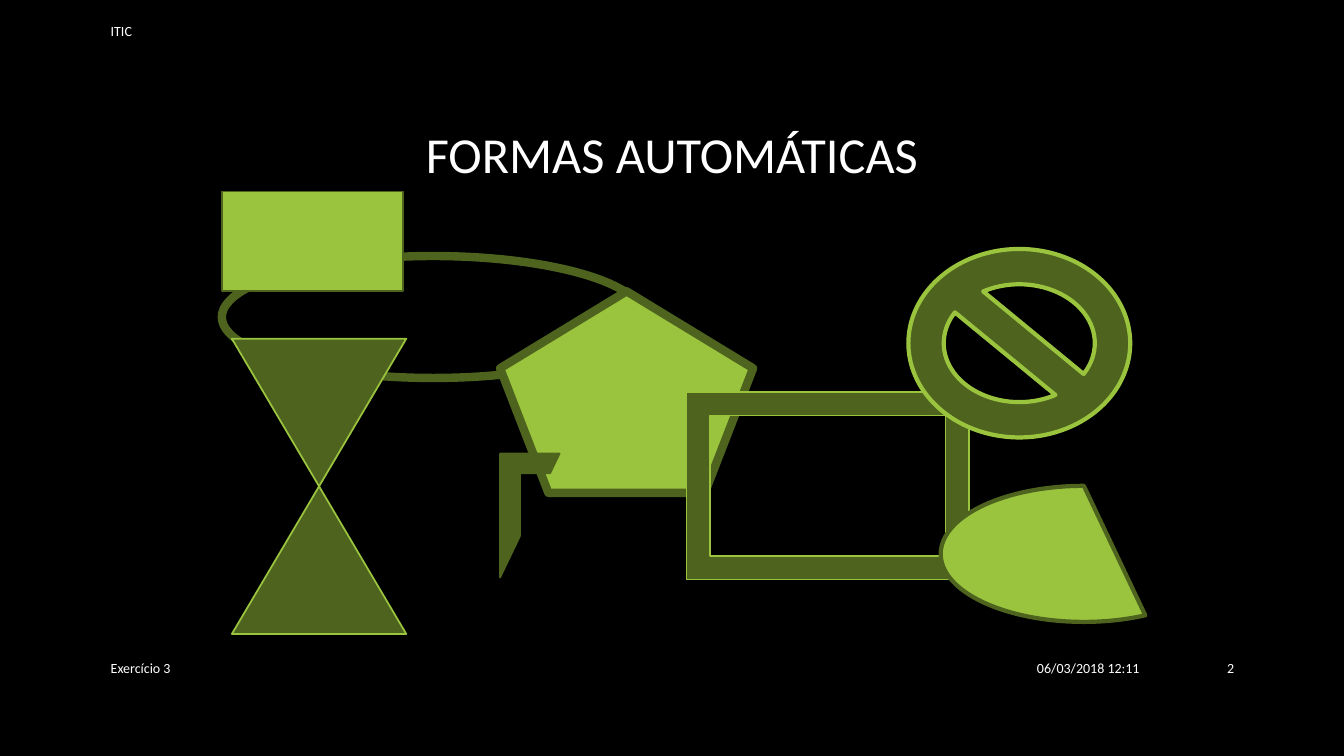
from dataclasses import dataclass

import pptx
import pptx.dml.color
import pptx.enum.shapes
import pptx.enum.text
import pptx.shapes.shapetree
import pptx.slide
import pptx.text.text
import pptx.util

Inches = pptx.util.Inches
Pt = pptx.util.Pt
RGBColor = pptx.dml.color.RGBColor
Preset = pptx.enum.shapes.MSO_SHAPE
Align = pptx.enum.text.PP_ALIGN
Anchor = pptx.enum.text.MSO_ANCHOR

BLACK = RGBColor(0x00, 0x00, 0x00)
WHITE = RGBColor(0xFF, 0xFF, 0xFF)
LIME = RGBColor(0x9A, 0xC4, 0x3E)
MOSS = RGBColor(0x4D, 0x63, 0x1E)
FONT = "Calibri"


@dataclass(frozen=True)
class Figure:
    preset: Preset
    left: float
    top: float
    width: float
    height: float
    fill: RGBColor | None
    line: RGBColor
    weight: float


@dataclass(frozen=True)
class Label:
    text: str
    left: float
    top: float
    width: float
    align: Align


FIGURES = [
    Figure(Preset.OVAL, 2.2, 2.54, 4.19, 1.21, None, MOSS, 6),
    Figure(Preset.REGULAR_PENTAGON, 4.96, 2.89, 2.51, 2, LIME, MOSS, 6),
    Figure(Preset.FRAME, 6.81, 3.89, 2.8, 1.86, MOSS, LIME, 1.25),
    Figure(Preset.HALF_FRAME, 4.96, 4.5, 0.59, 1.23, MOSS, MOSS, 1.25),
    Figure(Preset.CHORD, 9.33, 4.82, 2.84, 1.35, LIME, MOSS, 3),
    Figure(Preset.FLOWCHART_COLLATE, 2.3, 3.36, 1.73, 2.93, MOSS, LIME, 1.25),
    Figure(Preset.NO_SYMBOL, 9.01, 2.47, 2.2, 1.87, MOSS, LIME, 3),
    Figure(Preset.RECTANGLE, 2.2, 1.9, 1.8, 0.99, LIME, MOSS, 1.25),
]

LABEL_HEIGHT = 0.4
FOOTER_TOP = 6.43
LABELS = [
    Label("Exercício 3", 1, FOOTER_TOP, 7.3, Align.LEFT),
    Label("06/03/2018 12:11", 8.4, FOOTER_TOP, 3, Align.RIGHT),
    Label("2", 11.5, FOOTER_TOP, 0.84, Align.RIGHT),
    Label("ITIC", 1, 0.11, 7.3, Align.LEFT),
]


def write(frame: pptx.text.text.TextFrame, text: str, size: float, align: Align) -> None:
    frame.text = text
    frame.word_wrap = True
    frame.vertical_anchor = Anchor.MIDDLE
    paragraph = frame.paragraphs[0]
    paragraph.alignment = align
    font = paragraph.runs[0].font
    font.name = FONT
    font.size = Pt(size)
    font.color.rgb = WHITE


def draw_title(slide: pptx.slide.Slide) -> None:
    title = slide.shapes.title
    title.left, title.top = Inches(1), Inches(0.68)
    title.width, title.height = Inches(11.33), Inches(1.75)
    write(title.text_frame, "FORMAS AUTOMÁTICAS", 36, Align.CENTER)
    title.text_frame.paragraphs[0].line_spacing = 0.9


def draw_figure(shapes: pptx.shapes.shapetree.GroupShapes, figure: Figure) -> None:
    drawn = shapes.add_shape(
        figure.preset,
        Inches(figure.left),
        Inches(figure.top),
        Inches(figure.width),
        Inches(figure.height),
    )
    drawn.shadow.inherit = False
    if figure.fill is None:
        drawn.fill.background()
    else:
        drawn.fill.solid()
        drawn.fill.fore_color.rgb = figure.fill
    drawn.line.color.rgb = figure.line
    drawn.line.width = Pt(figure.weight)


def draw_label(slide: pptx.slide.Slide, label: Label) -> None:
    box = slide.shapes.add_textbox(
        Inches(label.left), Inches(label.top), Inches(label.width), Inches(LABEL_HEIGHT)
    )
    write(box.text_frame, label.text, 10, label.align)


def main() -> None:
    deck = pptx.Presentation()
    deck.slide_width, deck.slide_height = Inches(13.33), Inches(7.5)
    slide = deck.slides.add_slide(deck.slide_layouts[5])
    slide.background.fill.solid()
    slide.background.fill.fore_color.rgb = BLACK
    draw_title(slide)
    figures = slide.shapes.add_group_shape()
    for figure in FIGURES:
        draw_figure(figures.shapes, figure)
    for label in LABELS:
        draw_label(slide, label)
    deck.save("out.pptx")


if __name__ == "__main__":
    main()
